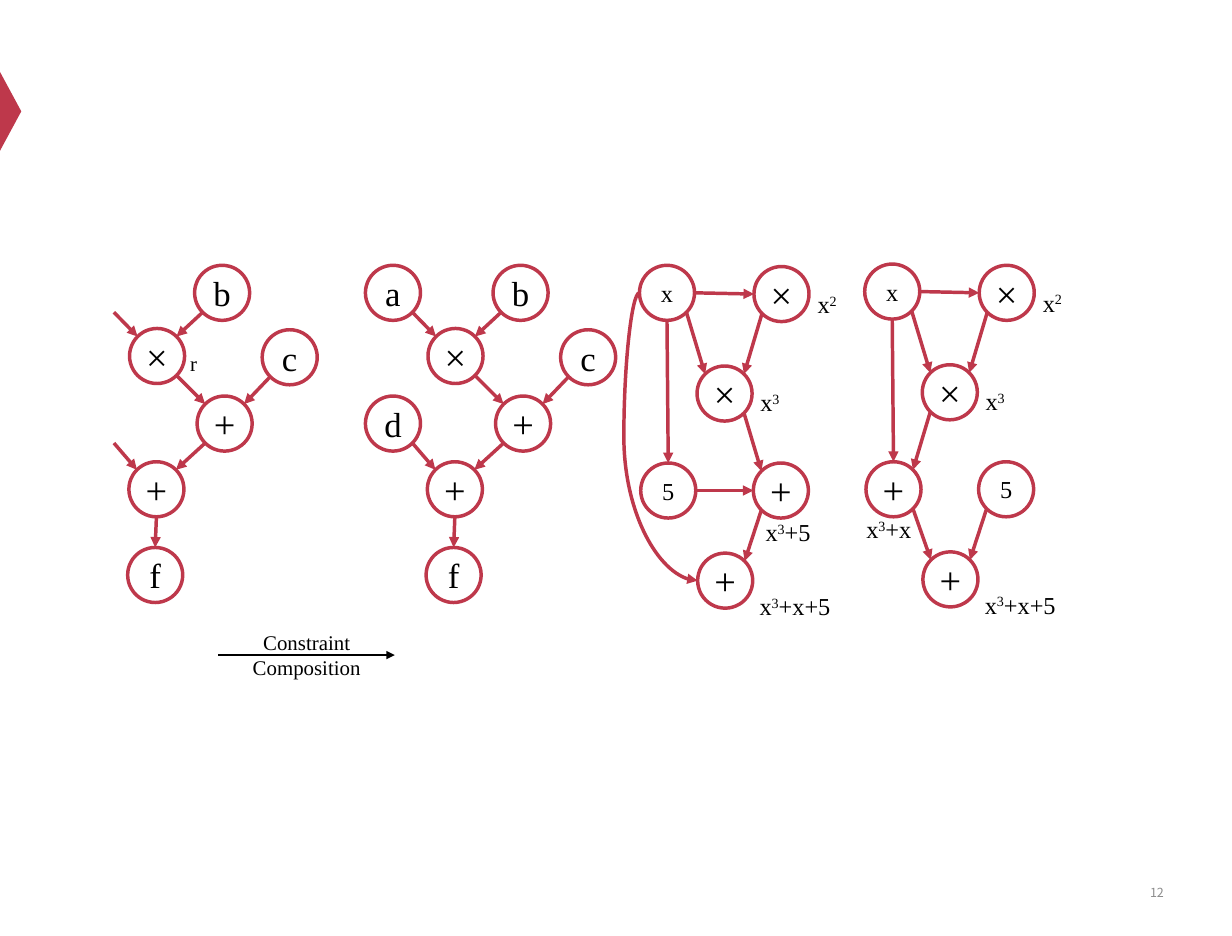
from math import atan2, cos, pi, sin

from lxml.etree import SubElement
from pptx import Presentation
from pptx.dml.color import RGBColor
from pptx.enum.shapes import MSO_CONNECTOR, MSO_SHAPE
from pptx.enum.text import MSO_ANCHOR, PP_ALIGN
from pptx.oxml.ns import qn
from pptx.util import Inches, Pt

WIDTH, HEIGHT = 19.69, 14.96
RED, BLACK, GREY = "BE384B", "000000", "8C8C8C"
SERIF = "Times New Roman"
DIAMETER = 0.88
LEFT_SITE = 2

# Node places are offsets in inches from the corner of the graph's box.
CIRCUIT_PLACES = {
    "a": (0, 0), "b": (2.04, 0), "times": (1, 1.01), "c": (3.12, 1.03),
    "d": (0, 2.09), "sum": (2.08, 2.09), "total": (0.99, 3.14), "f": (0.97, 4.51),
}
CIRCUIT_EDGES = [
    ("a", "times"), ("b", "times"), ("times", "sum"), ("c", "sum"),
    ("d", "total"), ("sum", "total"), ("total", "f"),
]
POLYNOMIAL_PLACES = {
    "x": (0, 0), "square": (1.83, 0.02), "cube": (0.92, 1.61),
    "left": (0.02, 3.16), "right": (1.82, 3.16), "result": (0.93, 4.6),
}
POLYNOMIAL_EDGES = [
    ("x", "square"), ("x", "cube"), ("square", "cube"), ("x", "left"), ("right", "result"),
]
POLYNOMIAL_LABELS = [
    ("2", "", 2.53, 0.33, 0.94), ("3", "", 1.65, 1.9, 0.87), ("3", "+x+5", 1.63, 5.16, 1.71),
]


def rgb(color):
    return RGBColor.from_string(color)


def format_run(run, size, color=BLACK, font=SERIF):
    run.font.size, run.font.name = Pt(size), font
    run.font.color.rgb = rgb(color)


def add_text(slide, text, box, size, align=PP_ALIGN.CENTER, color=BLACK, font=SERIF):
    frame = slide.shapes.add_textbox(*map(Inches, box)).text_frame
    frame.word_wrap = True
    frame.text = text
    frame.paragraphs[0].alignment = align
    format_run(frame.paragraphs[0].runs[0], size, color, font)
    return frame


def add_power(slide, exponent, rest, box):
    """Label x to a power, followed by the remaining terms."""
    paragraph = add_text(slide, "x", box, 28).paragraphs[0]
    for text, baseline in ((exponent, "30000"), (rest, "0")):
        if text:
            run = paragraph.add_run()
            run.text = text
            format_run(run, 28)
            run.font._element.set("baseline", baseline)


def add_arrow(slide, start, end, color=RED, width=4, kind=MSO_CONNECTOR.STRAIGHT):
    arrow = slide.shapes.add_connector(kind, *map(Inches, (*start, *end)))
    arrow.line.color.rgb, arrow.line.width = rgb(color), Pt(width)
    SubElement(arrow.line._get_or_add_ln(), qn("a:tailEnd"), type="triangle")
    SubElement(arrow._element.spPr, qn("a:effectLst"))
    return arrow


def add_node(slide, text, size, place):
    node = slide.shapes.add_shape(
        MSO_SHAPE.OVAL, *map(Inches, (*place, DIAMETER, DIAMETER)))
    node.shadow.inherit = False
    node.fill.background()
    node.line.color.rgb, node.line.width = rgb(RED), Pt(4)
    frame = node.text_frame
    frame.margin_left = frame.margin_right = frame.margin_top = frame.margin_bottom = 0
    frame.word_wrap, frame.vertical_anchor = False, MSO_ANCHOR.MIDDLE
    frame.text = text
    frame.paragraphs[0].alignment = PP_ALIGN.CENTER
    format_run(frame.paragraphs[0].runs[0], size)
    return node


def site_point(place, site):
    """Point on a node's rim; sites run counterclockwise from the top."""
    angle, radius = (site + 2) * pi / 4, DIAMETER / 2
    return place[0] + radius * (1 + cos(angle)), place[1] + radius * (1 - sin(angle))


def facing_site(place, target):
    angle = atan2(place[1] - target[1], target[0] - place[0])
    return (round(angle / (pi / 4)) - 2) % 8


def glue(arrow, ends):
    links = arrow._element.nvCxnSpPr.cNvCxnSpPr
    for tag, (node, site) in zip(("a:stCxn", "a:endCxn"), ends):
        if node is not None:
            SubElement(links, qn(tag), id=str(node.shape_id), idx=str(site))


def add_graph(slide, left, top, places, symbols, edges, letter_size):
    """Draw the nodes that have a symbol, and every edge; return nodes and places."""
    spots = {name: (left + x, top + y) for name, (x, y) in places.items()}
    nodes = {name: add_node(slide, symbol, 44 if symbol in "+×" else letter_size, spots[name])
             for name, symbol in symbols.items()}
    for source, target in edges:
        site = facing_site(spots[source], spots[target])
        opposite = (site + 4) % 8
        arrow = add_arrow(slide, site_point(spots[source], site),
                          site_point(spots[target], opposite))
        glue(arrow, ((nodes.get(source), site), (nodes.get(target), opposite)))
    return nodes, spots


def add_circuit(slide, left, top, inputs):
    symbols = {"times": "×", "sum": "+", "total": "+", "f": "f"}
    symbols.update({name: name for name in inputs})
    add_graph(slide, left, top, CIRCUIT_PLACES, symbols, CIRCUIT_EDGES, 40)


def add_polynomial(slide, left, top, left_symbol, right_symbol, edges, partial_label):
    symbols = {"x": "x", "square": "×", "cube": "×",
               "left": left_symbol, "right": right_symbol, "result": "+"}
    for exponent, rest, x, y, width in [*POLYNOMIAL_LABELS, partial_label]:
        add_power(slide, exponent, rest, (left + x, top + y, width, 0.57))
    return add_graph(slide, left, top, POLYNOMIAL_PLACES, symbols,
                     POLYNOMIAL_EDGES + edges, 28)


def add_bypass(slide, nodes, spots):
    """Curve from x around the left side to the result."""
    curve = add_arrow(slide, site_point(spots["x"], LEFT_SITE),
                      site_point(spots["result"], LEFT_SITE), kind=MSO_CONNECTOR.CURVE)
    guides = curve._element.spPr.prstGeom.get_or_add_avLst()
    SubElement(guides, qn("a:gd"), name="adj1", fmla="val -26800")
    glue(curve, ((nodes["x"], LEFT_SITE), (nodes["result"], LEFT_SITE)))


def add_composition(slide, left, top, width):
    add_arrow(slide, (left, top + 0.46), (left + width, top + 0.46), BLACK, 3.25)
    add_text(slide, "Constraint Composition", (left, top, width, 0.91), 24)


def add_page_furniture(slide):
    marker = slide.shapes.add_shape(
        MSO_SHAPE.ISOSCELES_TRIANGLE, *map(Inches, (-0.46, 1.61, 1.26, 0.34)))
    marker.rotation = 90
    marker.shadow.inherit = False
    marker.fill.solid()
    marker.fill.fore_color.rgb = rgb(RED)
    marker.line.fill.background()
    number = add_text(slide, "12", (14.11, 13.87, 4.59, 0.8), 14.4,
                      PP_ALIGN.RIGHT, GREY, "Noto Sans CJK SC")
    number.vertical_anchor = MSO_ANCHOR.MIDDLE


def main():
    deck = Presentation()
    deck.slide_width, deck.slide_height = Inches(WIDTH), Inches(HEIGHT)
    slide = deck.slides.add_slide(deck.slide_layouts[6])
    add_page_furniture(slide)
    add_circuit(slide, 1.07, 4.24, "bc")
    add_text(slide, "r", (2.94, 5.55, 0.46, 0.5), 24, PP_ALIGN.LEFT)
    add_circuit(slide, 5.84, 4.24, "abcd")
    add_composition(slide, 3.49, 10.01, 2.82)
    nodes, spots = add_polynomial(
        slide, 10.22, 4.24, "5", "+", [("cube", "right"), ("left", "right")],
        ("3", "+5", 1.74, 3.98, 1.27))
    add_bypass(slide, nodes, spots)
    add_polynomial(
        slide, 13.82, 4.22, "+", "5", [("cube", "left"), ("left", "result")],
        ("3", "+x", -0.25, 3.95, 1.27))
    deck.save("out.pptx")


if __name__ == "__main__":
    main()
